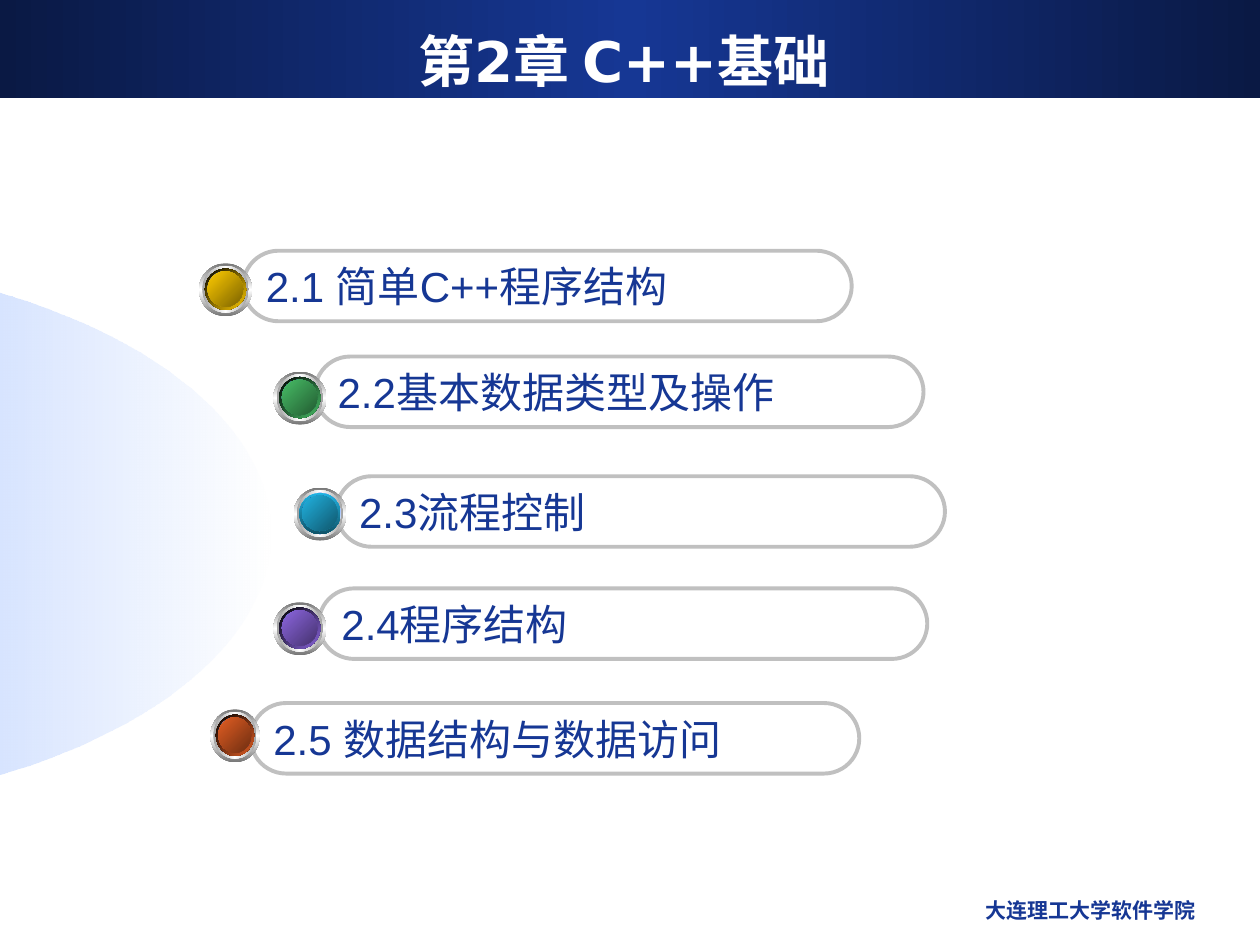
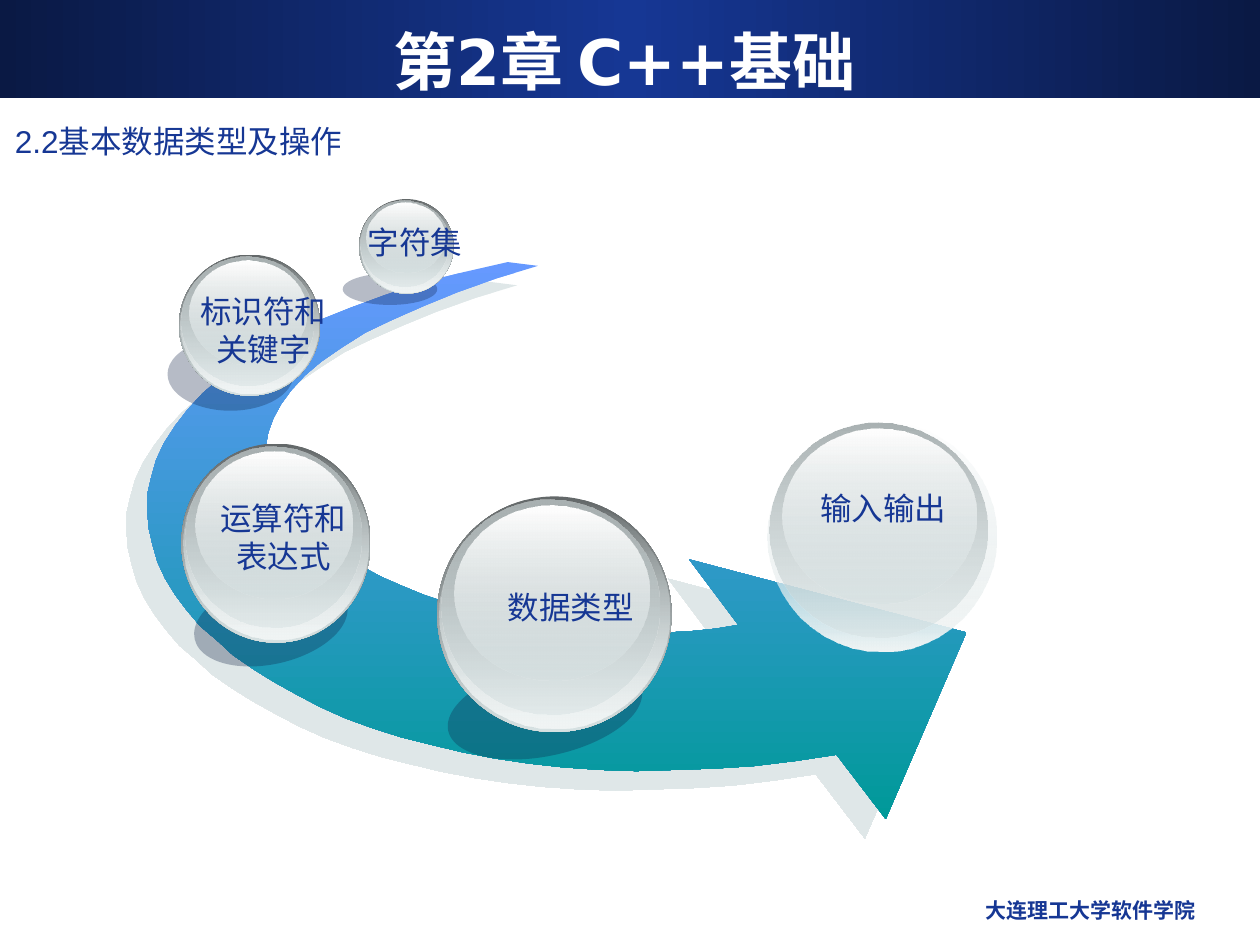
from dataclasses import dataclass
from math import cos, pi, sin

from lxml.etree import SubElement
from pptx import Presentation
from pptx.dml.color import RGBColor
from pptx.enum.shapes import MSO_SHAPE as SHAPE
from pptx.enum.text import MSO_ANCHOR as ANCHOR, MSO_AUTO_SIZE as AUTO, PP_ALIGN as ALIGN
from pptx.oxml.ns import qn
from pptx.util import Inches, Pt


@dataclass(frozen=True)
class Theme:
    """Colours, fonts and type sizes that the slides share."""
    navy: str = "163794"
    midnight: str = "0A1944"
    white: str = "FFFFFF"
    sky: str = "6699FF"
    teal: str = "009999"
    outline: str = "C0C0C0"
    glass: str = "D6E1E2"
    ball_shadow: str = "0F2145"
    arrow_shadow: str = "C1D1D3"
    heading_font: str = "DejaVu Sans"
    body_font: str = "Arial"
    footer_size: int = 12
    label_size: int = 18
    agenda_size: int = 24


THEME = Theme()
CHAPTER = "第2章 C++基础"
SCHOOL = "大连理工大学软件学院"
SECTION = "2.2基本数据类型及操作"

AGENDA = [
    ("2.5 数据结构与数据访问", (1.99, 5.58)),
    ("2.4程序结构", (2.53, 4.67)),
    ("2.3流程控制", (2.67, 3.78)),
    (SECTION, (2.5, 2.83)),
    ("2.1 简单C++程序结构", (1.93, 1.99)),
]

BEADS = [
    ((1.58, 2.09, 0.42, 0.42), "FFCC00", "7C6300", ("000000", "FFCC00", 45)),
    ((2.17, 2.95, 0.42, 0.42), "48BE67", "235C32", ("000000", "48BE67", 45)),
    ((2.17, 4.78, 0.42, 0.42), "8D67E1", "45326D", ("000000", "8D67E1", 45)),
    ((1.67, 5.63, 0.39, 0.42), "E35E23", "6E2E11", ("000000", "E35E23", 45)),
    ((2.33, 3.87, 0.42, 0.42), "21B3E1", "10576D", ("21B3E1", "0F5368", 90)),
]

BALLS = [
    ((3.47, 3.94, 1.86, 1.87), (3.54, 5.27, 1.57, 0.73), -12.1,
     ["数据类型"], (3.93, 4.62, 1.2, 0.4)),
    ((1.44, 3.52, 1.5, 1.58), (1.53, 4.6, 1.24, 0.67), -12.9,
     ["运算符和", "表达式"], (1.65, 3.91, 1.2, 0.7)),
    ((1.42, 2.02, 1.12, 1.12), (1.33, 2.68, 1, 0.58), 0,
     ["标识符和", "关键字"], (1.49, 2.27, 1.2, 0.7)),
    ((2.85, 1.58, 0.75, 0.75), (2.72, 2.17, 0.75, 0.25), 0,
     ["字符集"], (2.82, 1.72, 0.95, 0.4)),
    ((6.07, 3.33, 1.86, 1.87), None, 0,
     ["输入输出"], (6.41, 3.83, 1.2, 0.4)),
]

ARROW_OUTER = [
    (286, 0), (251, 8), (219, 16), (189, 26), (162, 36), (137, 46), (114, 57), (93, 68),
    (74, 80), (58, 92), (44, 104), (32, 117), (22, 130), (13, 144), (7, 157), (3, 171),
    (0, 184), (0, 198), (1, 211), (4, 224), (8, 238), (14, 251), (22, 264), (31, 276),
    (42, 289), (55, 300), (68, 312), (84, 323), (100, 333), (118, 343), (137, 353),
    (157, 362), (179, 370), (201, 377), (225, 383), (250, 389), (276, 394), (303, 398),
    (330, 401), (359, 403), (388, 404), (419, 403), (450, 402), (481, 400), (514, 396),
    (547, 391),
]
ARROW_HEAD = [(586, 442), (650, 294), (430, 236), (469, 288)]
ARROW_INNER = [
    (451, 291), (431, 293), (412, 294), (392, 294), (372, 294), (352, 292), (332, 290),
    (312, 288), (293, 284), (273, 280), (255, 275), (237, 270), (219, 264), (202, 257),
    (186, 250), (171, 242), (157, 234), (144, 226), (133, 217), (122, 208), (114, 198),
    (106, 188), (101, 178), (96, 167), (94, 157), (94, 146), (96, 135), (100, 124),
    (106, 113), (114, 102), (125, 90), (138, 79), (154, 68), (173, 56), (194, 46),
    (219, 35), (246, 24), (277, 13), (310, 3),
]


def rgb(code):
    """Turn a hex code into a colour."""
    return RGBColor.from_string(code)


def inches(box):
    """Turn a tuple of numbers into lengths."""
    return [Inches(value) for value in box]


def within(box, fractions):
    """Scale a box of fractions into an outer box."""
    left, top, width, height = box
    x, y, w, h = fractions
    return left + x * width, top + y * height, w * width, h * height


def add_colour(parent, code, alpha=100):
    """Add a colour element with its opacity in percent."""
    colour = SubElement(parent, qn("a:srgbClr"), val=code)
    if alpha < 100:
        SubElement(colour, qn("a:alpha"), val=str(alpha * 1000))


def paint_gradient(shape, stops, angle):
    """Fill a shape with evenly spaced (colour, opacity) stops."""
    shape.fill.gradient()
    gradient = shape.element.spPr.find(qn("a:gradFill"))
    for child in list(gradient):
        gradient.remove(child)
    stop_list = SubElement(gradient, qn("a:gsLst"))
    for index, stop in enumerate(stops):
        code, alpha = (stop, 100) if isinstance(stop, str) else stop
        position = index * 100000 // (len(stops) - 1)
        add_colour(SubElement(stop_list, qn("a:gs"), pos=str(position)), code, alpha)
    SubElement(gradient, qn("a:lin"), ang=str(angle * 60000), scaled="0")


def plain(shape):
    """Remove the default shadow and line."""
    shape.shadow.inherit = False
    shape.line.fill.background()
    return shape


def add_gradient_shape(shapes, kind, box, stops, angle):
    """Add a borderless preset shape with a gradient."""
    shape = plain(shapes.add_shape(kind, *inches(box)))
    paint_gradient(shape, stops, angle)
    return shape


def add_outline(shapes, origin, points, stops, angle):
    """Add a closed gradient outline whose points are relative to its origin."""
    start, *rest = [inches(point) for point in points]
    builder = shapes.build_freeform(*start)
    builder.add_line_segments(rest, close=True)
    shape = plain(builder.convert_to_shape(*inches(origin)))
    paint_gradient(shape, stops, angle)
    return shape


def write(frame, lines, size, font=THEME.body_font, colour=THEME.navy,
          align=ALIGN.LEFT, bold=False, wrap=True):
    """Write each line as a paragraph of one run."""
    frame.word_wrap = wrap
    frame.margin_left = frame.margin_right = Inches(0.1)
    frame.margin_top = frame.margin_bottom = Inches(0.05)
    for index, line in enumerate(lines):
        paragraph = frame.add_paragraph() if index else frame.paragraphs[0]
        paragraph.alignment = align
        run = paragraph.add_run()
        run.text = line
        run.font.size = Pt(size)
        run.font.name = font
        run.font.bold = bold
        run.font.color.rgb = rgb(colour)


def add_chapter_slide(deck, title_size):
    """Start a slide with the band, chapter title and school footer."""
    slide = deck.slides.add_slide(deck.slide_layouts[5])
    band = add_gradient_shape(slide.shapes, SHAPE.RECTANGLE, (0, 0, 10, 0.78),
                              [THEME.midnight, THEME.navy, THEME.midnight], 0)
    title = slide.shapes.title
    title.element.addprevious(band.element)
    title.left, title.top, title.width, title.height = inches((0.33, 0.17, 9.25, 0.62))
    title.text_frame.auto_size = AUTO.NONE
    title.text_frame.vertical_anchor = ANCHOR.MIDDLE
    write(title.text_frame, [CHAPTER], title_size, THEME.heading_font, THEME.white,
          ALIGN.CENTER, True)
    footer = slide.shapes.add_textbox(*inches((6.42, 7.07, 3.17, 0.35)))
    write(footer.text_frame, [SCHOOL], THEME.footer_size, THEME.heading_font,
          align=ALIGN.RIGHT, bold=True)
    return slide


def add_half_disc(shapes, box):
    """Draw the fading half ellipse that bleeds off the left edge."""
    left, top, width, height = box
    angles = [pi * (step / 80 - 0.5) for step in range(81)]
    rim = [(width * cos(a), height / 2 * (1 + sin(a))) for a in angles]
    add_outline(shapes, (left, top), rim, [(THEME.sky, 56), (THEME.white, 48)], 0)


def add_agenda_item(shapes, heading, box):
    """Draw one rounded agenda entry."""
    pill = shapes.add_shape(SHAPE.ROUNDED_RECTANGLE, *inches(box))
    pill.adjustments[0] = 0.5
    pill.shadow.inherit = False
    pill.fill.background()
    pill.line.color.rgb = rgb(THEME.outline)
    pill.line.width = Pt(2.25)
    pill.text_frame.vertical_anchor = ANCHOR.MIDDLE
    write(pill.text_frame, [heading], THEME.agenda_size, wrap=False)


def add_bead(shapes, box, bright, dark, rim):
    """Draw a metal-ringed bead from concentric ellipses."""
    rim_start, rim_end, rim_angle = rim
    socket, core = (0.11, 0.1, 0.78, 0.78), (0.16, 0.15, 0.67, 0.67)
    layers = [
        ((0, 0, 1, 1), ["767676", THEME.white, "767676"], 90),
        ((0.06, 0.05, 0.88, 0.88), ["A2A2A2", THEME.white, "A2A2A2"], 0),
        (socket, [THEME.white, THEME.sky, THEME.white], 45),
        (socket, [rim_start, rim_end], rim_angle),
        (core, ["37538A", THEME.sky, "37538A"], 315),
        (core, [bright, dark], 45),
    ]
    bead = shapes.add_group_shape()
    for fractions, stops, angle in layers:
        add_gradient_shape(bead.shapes, SHAPE.OVAL, within(box, fractions), stops, angle)


def add_arrow(shapes, origin):
    """Draw the sweeping arrow with its soft offset shadow."""
    points = [(x / 100, y / 100) for x, y in ARROW_OUTER + ARROW_HEAD + ARROW_INNER]
    arrow = add_outline(shapes, origin, points, [THEME.sky, THEME.teal], 90)
    effects = arrow.element.spPr.find(qn("a:effectLst"))
    shadow = SubElement(effects, qn("a:outerShdw"), dist=str(Pt(16.3)),
                        dir=str(137 * 60000), algn="ctr", rotWithShape="0")
    add_colour(shadow, THEME.arrow_shadow, 50)


def add_ball(shapes, box, shadow_box, tilt, lines, label_box):
    """Draw a glass ball with its label, grounded if it has a shadow."""
    ball = shapes.add_group_shape()
    layers = [
        ((0.01, 0.01, 0.98, 0.975), [(THEME.glass, 0), "F1F5F5"]),
        ((0.02, 0.015, 0.93, 0.91), ["AAB2B3", (THEME.glass, 48)]),
        ((0.075, 0.04, 0.83, 0.74), [THEME.white, (THEME.glass, 38)]),
    ]
    if shadow_box:
        shade = (THEME.ball_shadow, 30)
        shadow = plain(ball.shapes.add_shape(SHAPE.OVAL, *inches(shadow_box)))
        shadow.rotation = tilt
        shadow.fill.solid()
        solid = shadow.element.spPr.find(qn("a:solidFill"))
        add_colour(solid, *shade)
        layers.insert(0, ((0, 0, 1, 1), ["636869", THEME.glass]))
    for fractions, stops in layers:
        add_gradient_shape(ball.shapes, SHAPE.OVAL, within(box, fractions), stops, 90)
    label = ball.shapes.add_textbox(*inches(label_box))
    label.text_frame.auto_size = AUTO.SHAPE_TO_FIT_TEXT
    write(label.text_frame, lines, THEME.label_size, align=ALIGN.CENTER, wrap=False)


def build_agenda(deck):
    """Build the chapter agenda slide."""
    shapes = add_chapter_slide(deck, 32).shapes
    add_half_disc(shapes, (-2.15, 2.03, 4.3, 4.41))
    for heading, corner in AGENDA:
        add_agenda_item(shapes, heading, (*corner, 4.83, 0.56))
    for bead in BEADS:
        add_bead(shapes, *bead)


def build_section(deck):
    """Build the slide on data types and operations."""
    shapes = add_chapter_slide(deck, 36).shapes
    section = shapes.add_textbox(*inches((0.02, 0.92, 9.25, 0.41)))
    write(section.text_frame, [SECTION], THEME.label_size)
    add_arrow(shapes, (1.17, 2.08))
    for ball in BALLS:
        add_ball(shapes, *ball)


def main():
    """Build and save the deck."""
    deck = Presentation()
    deck.slide_width, deck.slide_height = Inches(10), Inches(7.5)
    build_agenda(deck)
    build_section(deck)
    deck.save("out.pptx")


if __name__ == "__main__":
    main()
